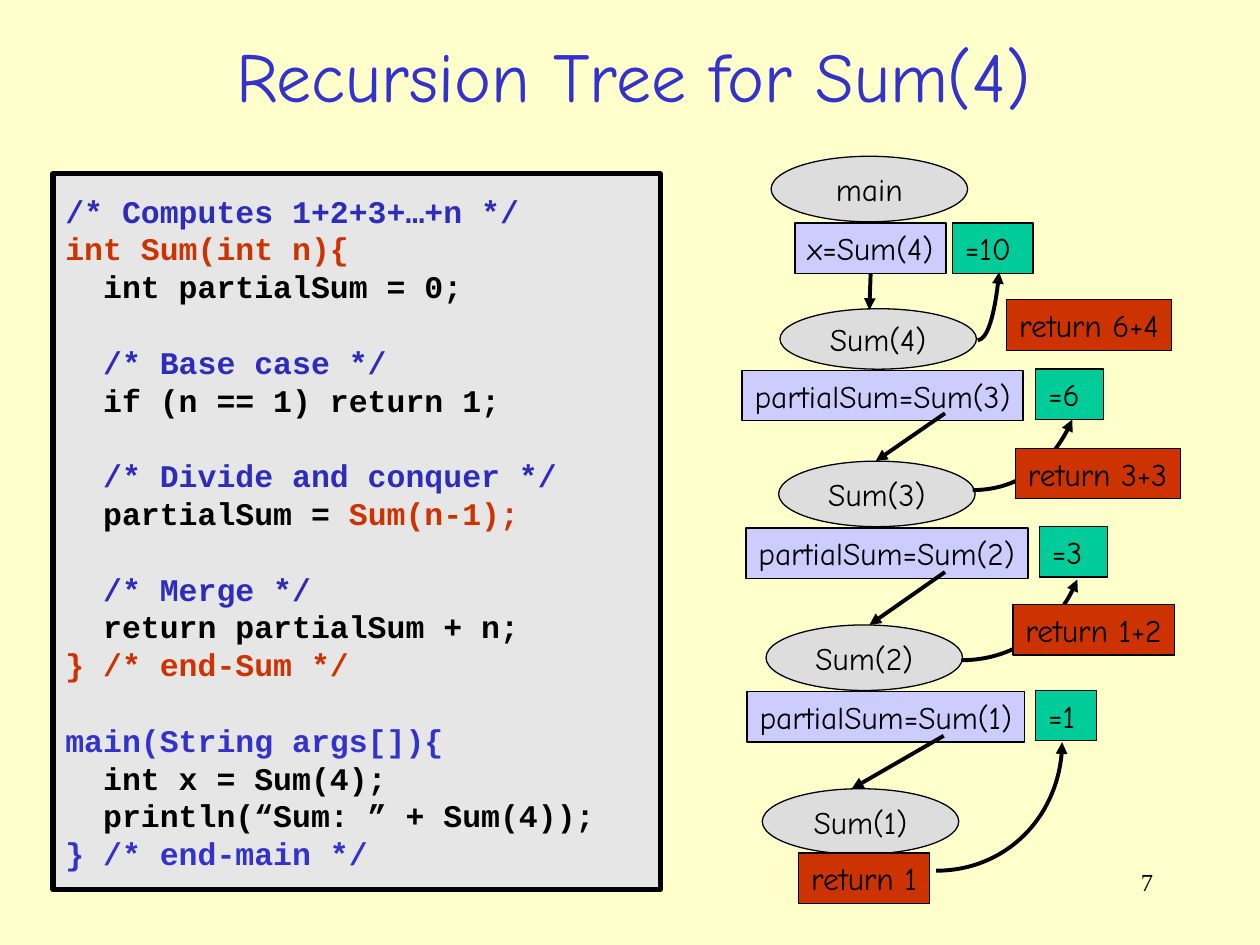
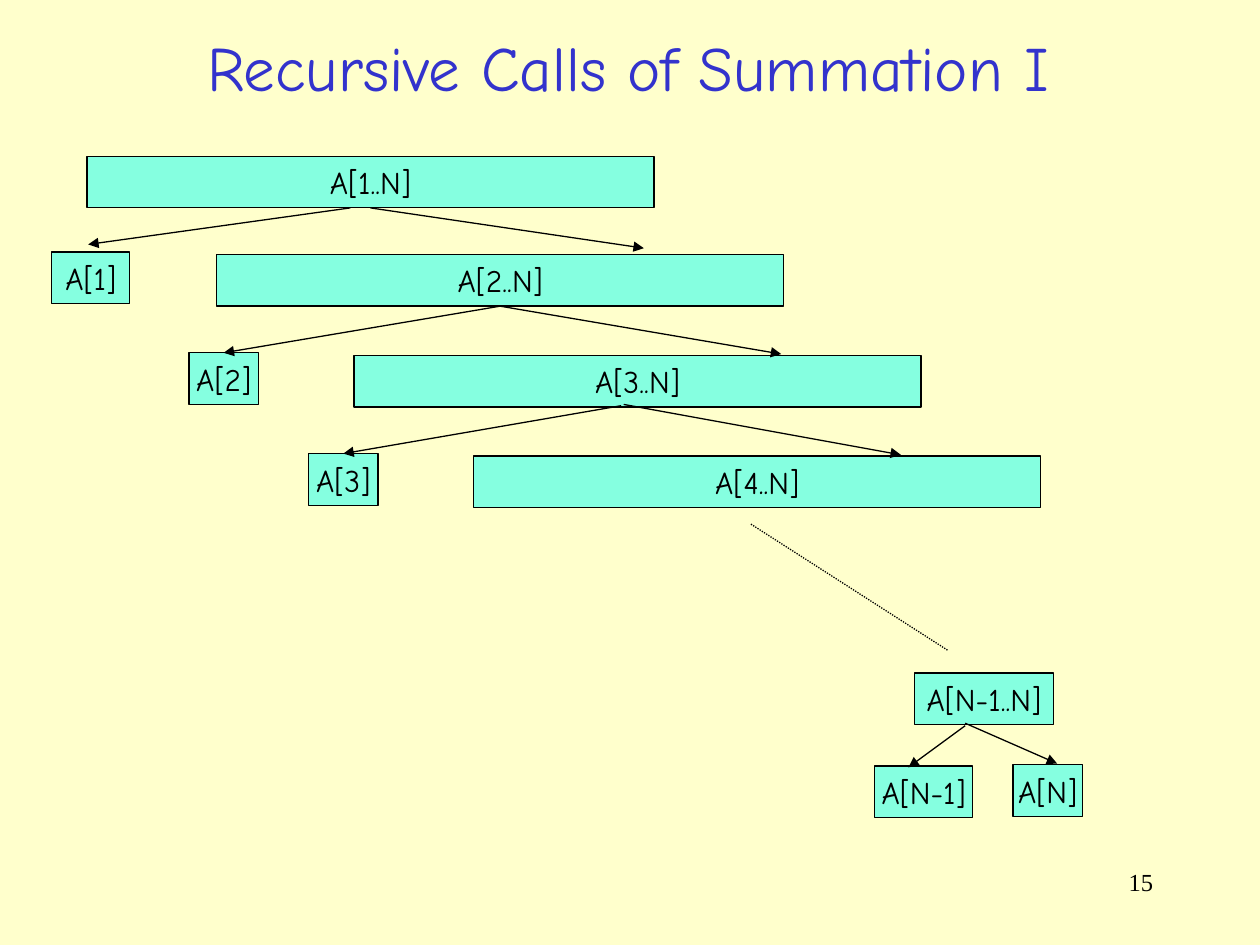
from dataclasses import dataclass

import pptx
import pptx.util
import pptx.dml.color
import pptx.enum.dml
import pptx.enum.shapes
import pptx.enum.text
import pptx.oxml
import pptx.oxml.ns

PX = 9144  # one hundred px to the inch
FORM = pptx.enum.shapes.MSO_SHAPE
ALIGN = pptx.enum.text.PP_ALIGN
ANCHOR = pptx.enum.text.MSO_ANCHOR
qn = pptx.oxml.ns.qn


@dataclass(frozen=True)
class Theme:
    paper: str = "FFFFCC"
    title: str = "3333CC"
    ink: str = "000000"
    note: str = "2D2DB9"
    red: str = "CC3300"
    panel: str = "E6E6E6"
    node: str = "DDDDDD"
    call: str = "CCCCFF"
    value: str = "00CC99"
    array: str = "85FFE0"
    hand: str = "Comic Neue"
    mono: str = "Courier New"
    serif: str = "Times New Roman"
    body: int = 18
    small: int = 14
    thin: float = 0.75
    arrow: float = 2.25
    frame: float = 3
    pitch: float = 21.6


T = Theme()


@dataclass(frozen=True)
class Look:
    fill: str
    form: int = FORM.RECTANGLE
    align: int = ALIGN.LEFT
    anchor: int = ANCHOR.TOP
    wrap: bool = False


NODE = Look(T.node, FORM.OVAL, ALIGN.CENTER, ANCHOR.MIDDLE)
CALL = Look(T.call)
VALUE = Look(T.value, wrap=True)
RETURN = Look(T.red)
ARRAY = Look(T.array, align=ALIGN.CENTER, anchor=ANCHOR.MIDDLE)
PANEL = Look(T.panel, anchor=ANCHOR.MIDDLE, wrap=True)

# Each code line is a list of (text, colour); an empty list is a gap
CODE = [
    [("/* Computes 1+2+3+…+n */", T.note)],
    [("int Sum(int n){", T.red)],
    [("  int partialSum = 0;", T.ink)],
    [],
    [("  /* Base case */", T.note)],
    [("  if (n == 1) return 1;", T.ink)],
    [],
    [("  /* Divide and conquer */", T.note)],
    [("  partialSum = ", T.ink), ("Sum(n-1);", T.red)],
    [],
    [("  /* Merge */", T.note)],
    [("  return partialSum + n;", T.ink)],
    [("} /* end-Sum */", T.red)],
    [],
    [("main(String args[]){", T.title)],
    [("  int x = Sum(4);", T.ink)],
    [("  println(“Sum: ” + Sum(4));", T.ink)],
    [("} /* end-main */", T.title)],
]


def rgb(code):
    return pptx.dml.color.RGBColor.from_string(code)


def style(font, face, size, color=T.ink, bold=False):
    font.name, font.size, font.bold = face, pptx.util.Pt(size), bold
    font.color.rgb = rgb(color)


def place(shape, area):
    shape.left, shape.top, shape.width, shape.height = [n * PX for n in area]


def stroke(line, width, arrow=False):
    line.color.rgb = rgb(T.ink)
    line.width = pptx.util.Pt(width)
    if arrow:
        tip = pptx.oxml.parse_xml(
            f'<a:tailEnd {pptx.oxml.ns.nsdecls("a")} type="triangle"/>')
        line._get_or_add_ln().append(tip)


def write(shape, text, align, face, size, color=T.ink):
    para = shape.text_frame.paragraphs[0]
    para.text = text
    para.alignment = align
    for run in para.runs:
        style(run.font, face, size, color)


# Shared parts of every slide
def start(deck, title, area, size, number):
    slide = deck.slides.add_slide(deck.slide_layouts[5])
    head = slide.shapes.title
    place(head, area)
    frame = head.text_frame
    frame.auto_size = pptx.enum.text.MSO_AUTO_SIZE.NONE
    frame.vertical_anchor = ANCHOR.MIDDLE
    write(head, title, ALIGN.CENTER, T.hand, size, T.title)
    foot = slide.shapes.add_textbox(*[n * PX for n in (717, 683, 208, 50)])
    foot.text_frame.word_wrap = True
    write(foot, number, ALIGN.RIGHT, T.serif, T.small)
    return slide


def shape(slide, look, area, width=T.thin):
    item = slide.shapes.add_shape(look.form, *[n * PX for n in area])
    item.shadow.inherit = False
    item.fill.solid()
    item.fill.fore_color.rgb = rgb(look.fill)
    stroke(item.line, width)
    item.text_frame.word_wrap = look.wrap
    item.text_frame.vertical_anchor = look.anchor
    return item


def box(slide, look, text, *area):
    item = shape(slide, look, area)
    write(item, text, look.align, T.hand, T.body)
    return item


def link(slide, tail, tip, width=T.thin, arrow=True):
    """Each end is a point, or a box: from its bottom, to its top."""
    ends = [end if isinstance(end, tuple) else (0, 0) for end in (tail, tip)]
    line = slide.shapes.add_connector(
        pptx.enum.shapes.MSO_CONNECTOR.STRAIGHT,
        *[n * PX for end in ends for n in end])
    if not isinstance(tail, tuple):
        line.begin_connect(tail, 2)
    if not isinstance(tip, tuple):
        line.end_connect(tip, 0)
    stroke(line.line, width, arrow)
    line._element.spPr.append(pptx.oxml.parse_xml(
        f'<a:effectLst {pptx.oxml.ns.nsdecls("a")}/>'))
    return line


def curve(slide, first, *rest):
    """Draw a cubic arrow from first through two controls to its tip."""
    pen = slide.shapes.build_freeform(*first, scale=PX)
    pen.add_line_segments(rest, close=False)
    item = pen.convert_to_shape()
    way = next(item._element.iter(qn("a:path")))
    bend = way.makeelement(qn("a:cubicBezTo"), {})
    for step in way.findall(qn("a:lnTo")):
        bend.append(step[0])
        way.remove(step)
    way.append(bend)
    item.fill.background()
    item.shadow.inherit = False
    stroke(item.line, T.arrow, True)


def code(slide, lines, *area):
    panel = shape(slide, PANEL, area, T.frame)
    frame = panel.text_frame
    para, gap = frame.paragraphs[0], 0
    for row, line in enumerate(lines):
        if not line:
            gap = T.pitch
            continue
        if row:
            para = frame.add_paragraph()
        para.alignment = ALIGN.LEFT
        para.line_spacing = pptx.util.Pt(T.pitch)
        if gap:
            para.space_before = pptx.util.Pt(gap)
        gap = 0
        for text, color in line:
            run = para.add_run()
            run.text = text
            style(run.font, T.mono, T.body, color, True)


# Slide with the code and its recursion tree
def tree(deck):
    slide = start(deck, "Recursion Tree for Sum(4)",
                  (24, 24, 957, 70), 40, "7")
    code(slide, CODE, 42, 138, 482, 568)

    # Calls, going down
    box(slide, NODE, "main", 612, 124, 156, 52)
    root = box(slide, CALL, "x=Sum(4)", 631, 177, 120, 40)
    box(slide, NODE, "Sum(4)", 619, 245, 156, 48)
    link(slide, root, (690, 246), T.arrow)
    calls = [
        (3, (589, 294, 223), (618, 366), (750, 328), (695, 366)),
        (2, (592, 419, 224), (608, 496), (750, 454), (690, 496)),
        (1, (593, 549, 220), (605, 626), (749, 584), (676, 626)),
    ]
    for num, area, spot, tail, tip in calls:
        box(slide, CALL, f"partialSum=Sum({num})", *area, 40)
        box(slide, NODE, f"Sum({num})", *spot, 156, 52)
        link(slide, tail, tip, T.arrow)

    # Results, coming back up
    box(slide, RETURN, "return 1", 634, 677, 104, 40)
    backs = [
        ("=1", (822, 548, 48), [(743, 691), (798, 691), (843, 645), (843, 589)],
         None, None),
        ("=3", (825, 418, 54), [(763, 524), (803, 524), (840, 498), (855, 460)],
         "return 1+2", (804, 480, 128)),
        ("=6", (822, 293, 54), [(772, 389), (806, 389), (837, 367), (851, 333)],
         "return 3+3", (806, 356, 131)),
        ("=10", (756, 177, 64), [(776, 270), (783, 270), (790, 250), (793, 216)],
         "return 6+4", (799, 238, 131)),
    ]
    for value, area, bend, text, spot in backs:
        box(slide, VALUE, value, *area, 40)
        curve(slide, *bend)
        if text:
            box(slide, RETURN, text, *spot, 40)


# Slide with the array split step by step
def split(deck):
    slide = start(deck, "Recursive Calls of Summation I",
                  (32, 15, 933, 76), 36, "15")
    bars, leaves = [], []
    steps = [(69, 124), (172, 202), (281, 282), (376, 362)]
    for num, (left, top) in enumerate(steps):
        bars.append(box(slide, ARRAY, f"A[{num + 1}..N]", left, top, 450, 41))
        if num:
            wide = 62 if num == 1 else 55
            leaves.append(box(slide, ARRAY, f"A[{num}]",
                              left - 131, top - 2, wide, 41))
    box(slide, ARRAY, "A[N-1..N]", 726, 534, 110, 41)
    box(slide, ARRAY, "A[N-1]", 694, 608, 78, 41)
    box(slide, ARRAY, "A[N]", 804, 607, 55, 41)

    # Arrows from each range to its two parts
    arrows = [
        ((278, 165), (70, 194)), (bars[0], (511, 197)),
        (bars[1], leaves[1]), (bars[1], (620, 281)),
        ((493, 322), leaves[2]), ((495, 321), (715, 361)),
        ((766, 576), (721, 609)), ((766, 574), (839, 606)),
    ]
    for tail, tip in arrows:
        link(slide, tail, tip)
    dots = link(slide, (596, 416), (752, 516), arrow=False)
    dots.line.dash_style = pptx.enum.dml.MSO_LINE.ROUND_DOT


def main():
    deck = pptx.Presentation()
    deck.slide_width, deck.slide_height = 1000 * PX, 750 * PX
    paper = deck.slide_master.background.fill
    paper.solid()
    paper.fore_color.rgb = rgb(T.paper)
    tree(deck)
    split(deck)
    deck.save("out.pptx")


if __name__ == "__main__":
    main()
